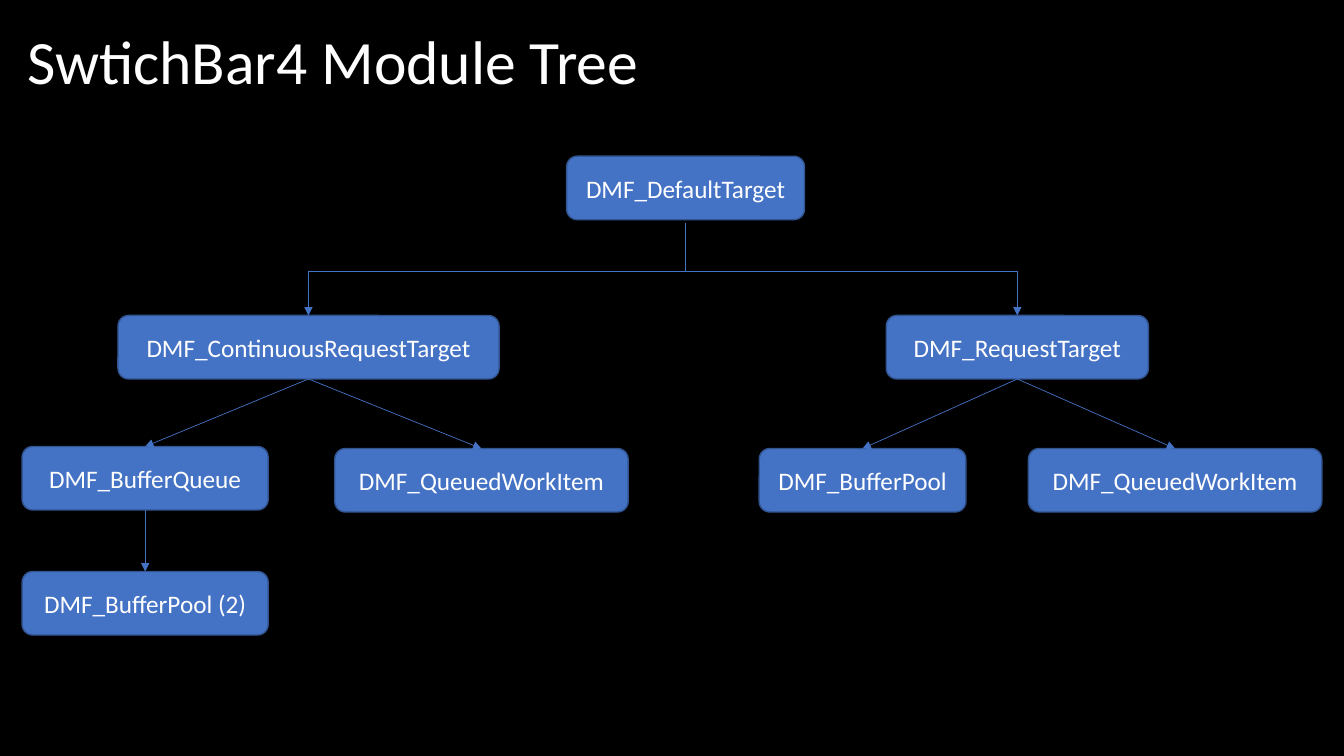
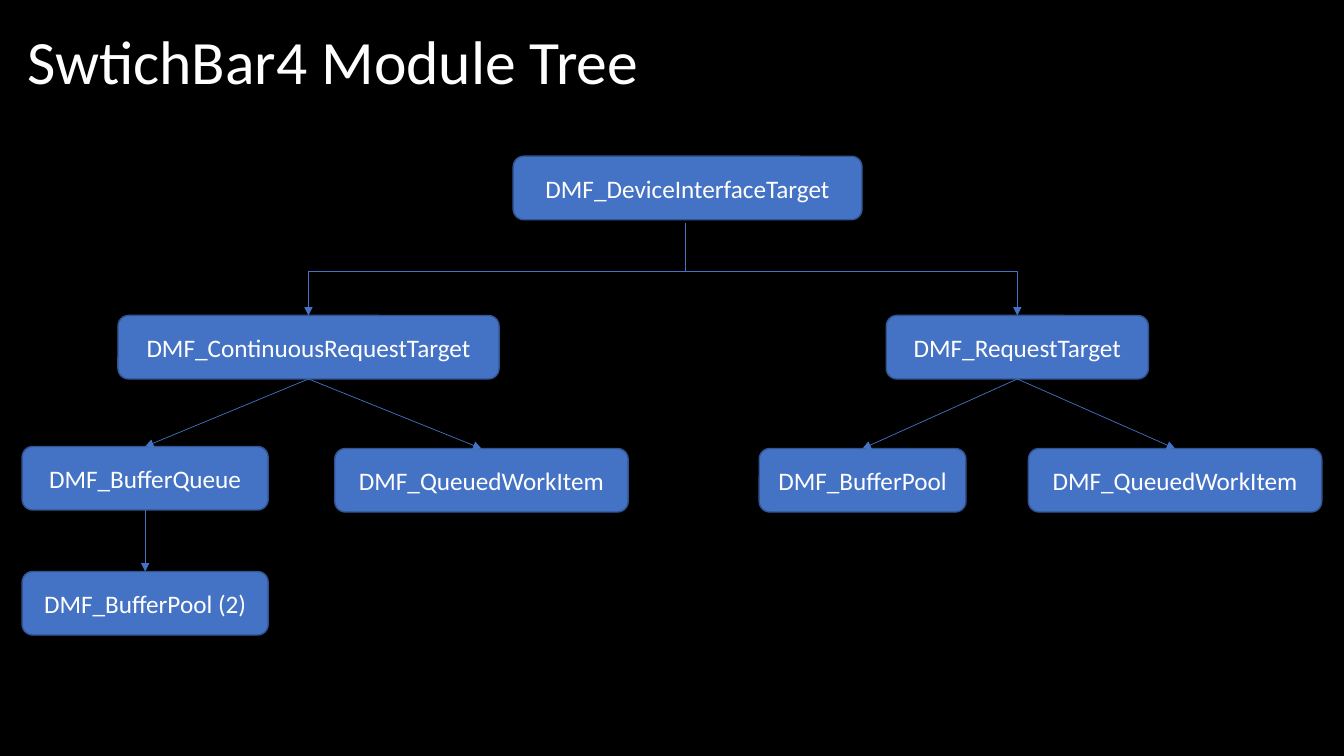
from lxml.etree import SubElement
from pptx import Presentation
from pptx.dml.color import RGBColor
from pptx.enum.shapes import MSO_CONNECTOR, MSO_SHAPE
from pptx.enum.text import MSO_ANCHOR, MSO_AUTO_SIZE, PP_ALIGN
from pptx.oxml.ns import qn
from pptx.util import Inches, Pt

TITLE = "SwtichBar4 Module Tree"
# The root module of each slide: label, left, width
ROOTS = [
    ("DMF_DefaultTarget", 5.62, 2.36),
    ("DMF_DeviceInterfaceTarget", 5.09, 3.46),
]
# Modules below the root: key -> label, left, top, width
MODULES = {
    "continuous": ("DMF_ContinuousRequestTarget", 1.17, 3.13, 3.78),
    "queue": ("DMF_BufferQueue", 0.22, 4.43, 2.44),
    "pool": ("DMF_BufferPool", 7.53, 4.45, 2.05),
    "request": ("DMF_RequestTarget", 8.79, 3.13, 2.6),
    "queue pool": ("DMF_BufferPool (2)", 0.22, 5.67, 2.44),
    "continuous work": ("DMF_QueuedWorkItem", 3.32, 4.45, 2.91),
    "request work": ("DMF_QueuedWorkItem", 10.2, 4.45, 2.91),
}
LINKS = [
    ("continuous", "queue"),
    ("continuous", "continuous work"),
    ("request", "pool"),
    ("request", "request work"),
    ("queue", "queue pool"),
]
BRANCHES = ["continuous", "request"]

COLORS = {"background": "000000", "text": "FFFFFF", "box": "4472C4", "border": "325491"}
FONT = "Calibri"
ROOT_TOP, BOX_HEIGHT = 1.55, 0.63
TRUNK_X, TRUNK_TOP, TRUNK_BOTTOM = Inches(6.8), Inches(2.21), Inches(2.69)
TOP_SITE, BOTTOM_SITE = 0, 2


def color(name):
    return RGBColor.from_string(COLORS[name])


def set_font(para, size):
    para.font.name = FONT
    para.font.size = Pt(size)
    para.font.color.rgb = color("text")


def prepare_layout(deck):
    """Give the master its background and the title-only layout its title frame."""
    fill = deck.slide_master.background.fill
    fill.solid()
    fill.fore_color.rgb = color("background")
    layout = deck.slide_layouts[5]
    title = layout.placeholders[0]
    title.left, title.top = Inches(0.17), Inches(0.14)
    title.width, title.height = Inches(13), Inches(1)
    title.text_frame.vertical_anchor = MSO_ANCHOR.MIDDLE
    title.text_frame.auto_size = MSO_AUTO_SIZE.NONE
    return layout


def add_title(slide):
    slide.shapes.title.text = TITLE
    para = slide.shapes.title.text_frame.paragraphs[0]
    para.alignment = PP_ALIGN.LEFT
    para.line_spacing = 0.9
    set_font(para, 44)


def add_module(slide, label, left, top, width):
    box = slide.shapes.add_shape(
        MSO_SHAPE.ROUNDED_RECTANGLE,
        Inches(left), Inches(top), Inches(width), Inches(BOX_HEIGHT))
    box.shadow.inherit = False
    box.fill.solid()
    box.fill.fore_color.rgb = color("box")
    box.line.color.rgb = color("border")
    box.line.width = Pt(1)
    frame = box.text_frame
    frame.word_wrap = True
    frame.vertical_anchor = MSO_ANCHOR.MIDDLE
    frame.text = label
    para = frame.paragraphs[0]
    para.alignment = PP_ALIGN.CENTER
    set_font(para, 18)
    return box


def add_line(slide, start, end, kind=MSO_CONNECTOR.STRAIGHT, arrow=True):
    line = slide.shapes.add_connector(kind, *start, *end)
    line.line.color.rgb = color("box")
    line.line.width = Pt(0.5)
    if arrow:
        SubElement(line.line._get_or_add_ln(), qn("a:tailEnd"), type="triangle")
    SubElement(line._element.spPr, qn("a:effectLst"))
    return line


def top_center(box):
    return box.left + box.width // 2, box.top


def bottom_center(box):
    return box.left + box.width // 2, box.top + box.height


def add_tree(slide, root):
    label, left, width = root
    add_module(slide, label, left, ROOT_TOP, width)
    boxes = {key: add_module(slide, *module) for key, module in MODULES.items()}

    for parent, child in LINKS:
        line = add_line(slide, bottom_center(boxes[parent]), top_center(boxes[child]))
        line.begin_connect(boxes[parent], BOTTOM_SITE)
        line.end_connect(boxes[child], TOP_SITE)

    fork = (TRUNK_X, TRUNK_BOTTOM)
    add_line(slide, (TRUNK_X, TRUNK_TOP), fork, arrow=False)
    for key in BRANCHES:
        elbow = add_line(slide, fork, top_center(boxes[key]), MSO_CONNECTOR.ELBOW)
        # One corner only: across, then down
        elbow._element.spPr.find(qn("a:prstGeom")).set("prst", "bentConnector2")
        elbow.end_connect(boxes[key], TOP_SITE)


def main():
    deck = Presentation()
    deck.slide_width, deck.slide_height = Inches(13.33), Inches(7.5)
    layout = prepare_layout(deck)
    for root in ROOTS:
        slide = deck.slides.add_slide(layout)
        add_title(slide)
        add_tree(slide, root)
    deck.save("out.pptx")


if __name__ == "__main__":
    main()
